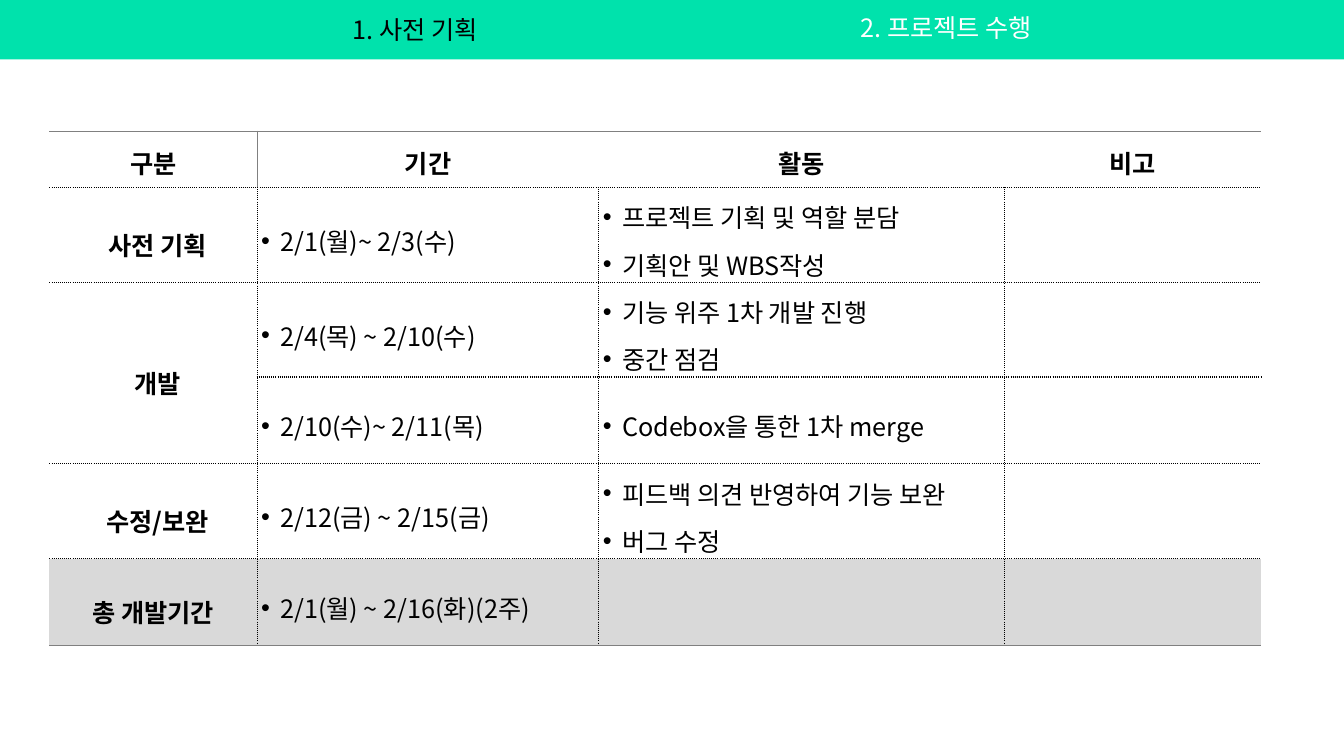
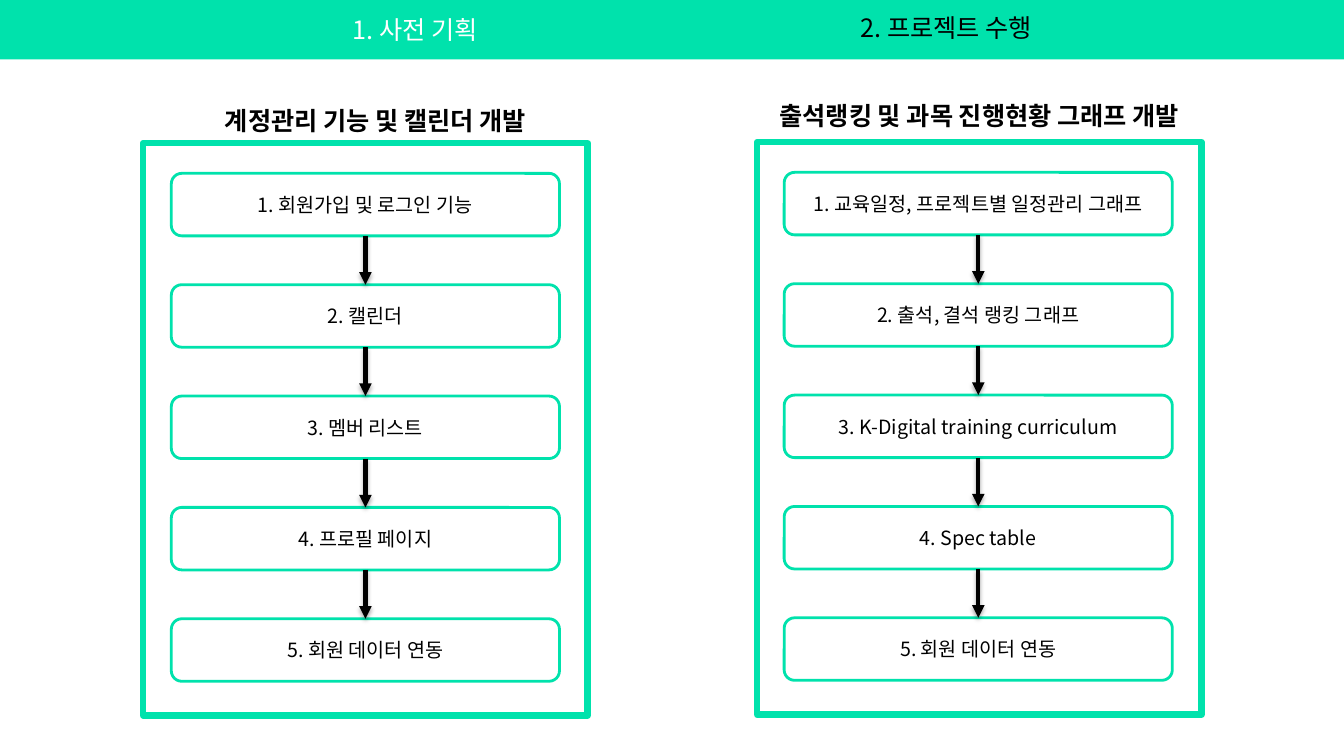
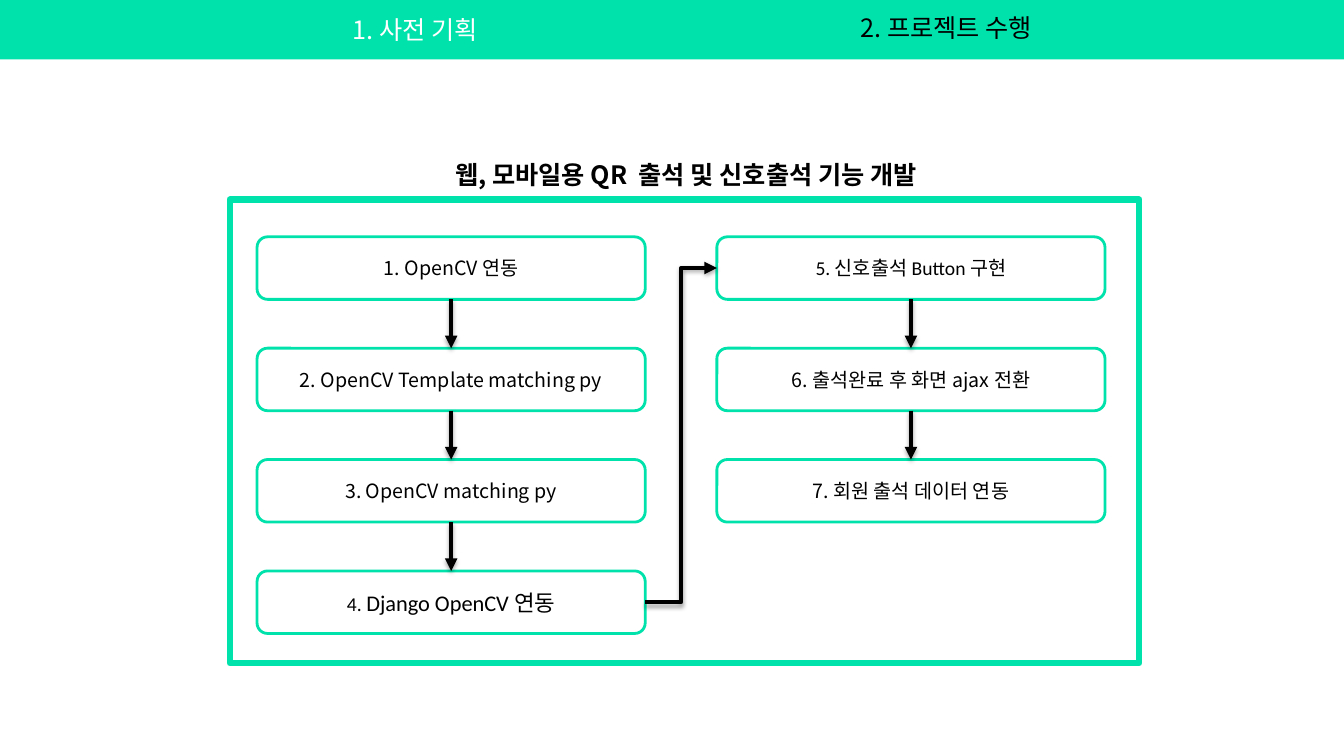
import pptx
import pptx.util
import pptx.dml.color
import pptx.enum.shapes
import pptx.enum.text
import pptx.oxml
import pptx.oxml.ns

RGBColor = pptx.dml.color.RGBColor
MINT = RGBColor(0x00, 0xE2, 0xAC)
WHITE = RGBColor(0xFF, 0xFF, 0xFF)
BLACK = RGBColor(0x00, 0x00, 0x00)
GRAY = RGBColor(0x80, 0x80, 0x80)
PALE = RGBColor(0xD9, 0xD9, 0xD9)
SANS = "Noto Sans CJK KR"
LATIN = "Calibri"
WIDTH = pptx.util.Inches(13.33)
HEIGHT = pptx.util.Inches(7.5)

SHAPE = pptx.enum.shapes.MSO_SHAPE
LINK = pptx.enum.shapes.MSO_CONNECTOR
ALIGN = pptx.enum.text.PP_ALIGN
ANCHOR = pptx.enum.text.MSO_ANCHOR

BAND = 7.87
LINE = 5.33
BOX = (28.88, 8.27)
STEP = 14.73
TABS = [
    ("1. 사전 기획 ", (19.2, 1.2, 23.78, LINE)),
    ("2. 프로젝트 수행", (62.19, 0.93, 16.43, LINE)),
]
TOP, LEFT, BOTTOM, RIGHT = range(4)

COLS = [15.45, 25.43, 30.16, 19.13]
ROWS = [7.47] + [11.47] * 5
PLAN = [
    ("구분", "기간", "활동", "비고"),
    ("사전 기획", "2/1(월)~ 2/3(수)", "프로젝트 기획 및 역할 분담\n기획안 및 WBS작성", ""),
    ("개발", "2/4(목) ~ 2/10(수)", "기능 위주 1차 개발 진행\n중간 점검", ""),
    ("", "2/10(수)~ 2/11(목)", "Codebox을 통한 1차 merge", ""),
    ("수정/보완", "2/12(금) ~ 2/15(금)", "피드백 의견 반영하여 기능 보완\n버그 수정", ""),
    ("총 개발기간", "2/1(월) ~ 2/16(화)(2주)", "", ""),
]
MERGED = 2


def wide(share):
    return round(WIDTH * share / 100)


def high(share):
    return round(HEIGHT * share / 100)


def place(left, top, width, height):
    return wide(left), high(top), wide(width), high(height)


def add_xml(parent, tag, body="", **attrs):
    pairs = "".join(f' {key}="{val}"' for key, val in attrs.items())
    space = pptx.oxml.ns.nsdecls("a")
    node = pptx.oxml.parse_xml(f"<a:{tag} {space}{pairs}>{body}</a:{tag}>")
    parent.append(node)


def add_run(para, text, size=18, color=BLACK, bold=False, face=SANS):
    run = para.add_run()
    run.text = text
    font = run.font
    font.size = pptx.util.Pt(size)
    font.bold = bold
    font.color.rgb = color
    font.name = face
    add_xml(font._element, "ea", typeface=SANS)


def add_label(shape, text, area, color=BLACK, bold=False):
    shape.left, shape.top, shape.width, shape.height = place(*area)
    frame = shape.text_frame
    frame.word_wrap = True
    frame.auto_size = pptx.enum.text.MSO_AUTO_SIZE.NONE
    frame.vertical_anchor = ANCHOR.TOP
    para = frame.paragraphs[0]
    para.alignment = ALIGN.CENTER
    para.line_spacing = 1.0
    add_run(para, text, color=color, bold=bold)


def add_head(slide, text, area):
    add_label(slide.shapes.add_textbox(0, 0, 0, 0), text, area, bold=True)


def add_block(slide, kind, area, fill, line=None):
    shape = slide.shapes.add_shape(kind, *place(*area))
    shape.shadow.inherit = False
    shape.fill.solid()
    shape.fill.fore_color.rgb = fill
    if line:
        shape.line.color.rgb = MINT
        shape.line.width = pptx.util.Pt(line)
    else:
        shape.line.fill.background()
    return shape


def add_page(deck, active):
    slide = deck.slides.add_slide(deck.slide_layouts[5])
    band = add_block(slide, SHAPE.RECTANGLE, (0, 0, 100, BAND), MINT)
    slide.shapes._spTree.insert(2, band._element)
    for spot, (text, area) in enumerate(TABS):
        if spot == active:
            add_label(slide.shapes.title, text, area, BLACK)
        else:
            add_label(slide.shapes.add_textbox(0, 0, 0, 0), text, area, WHITE)
    return slide


def add_step(slide, left, top, runs):
    box = add_block(slide, SHAPE.ROUNDED_RECTANGLE, (left, top, *BOX), WHITE, 2)
    frame = box.text_frame
    frame.word_wrap = True
    frame.vertical_anchor = ANCHOR.MIDDLE
    para = frame.paragraphs[0]
    para.alignment = ALIGN.CENTER
    for text, size, face in runs:
        add_run(para, text, size, face=face)
    return box


def add_arrow(slide, start, end, kind=LINK.STRAIGHT, out=BOTTOM, into=TOP):
    arrow = slide.shapes.add_connector(kind, 0, 0, 0, 0)
    arrow.begin_connect(start, out)
    arrow.end_connect(end, into)
    arrow.line.color.rgb = BLACK
    arrow.line.width = pptx.util.Pt(3)
    add_xml(arrow.line._get_or_add_ln(), "tailEnd", type="triangle")
    shade = (
        f'<a:outerShdw blurRad="{pptx.util.Pt(3.1)}" dist="{pptx.util.Pt(1.8)}" '
        f'dir="5400000" rotWithShape="0"><a:srgbClr val="{BLACK}">'
        '<a:alpha val="35000"/></a:srgbClr></a:outerShdw>'
    )
    add_xml(arrow._element.spPr, "effectLst", shade)


def add_flow(slide, left, top, steps):
    boxes = []
    for row, step in enumerate(steps):
        runs = [(step, 14, SANS)] if isinstance(step, str) else step
        boxes.append(add_step(slide, left, top + row * STEP, runs))
    for start, end in zip(boxes, boxes[1:]):
        add_arrow(slide, start, end)
    return boxes


def add_frame(slide, area):
    add_block(slide, SHAPE.RECTANGLE, area, WHITE, 4.5)


def pick_edges(row, col):
    dots, thin = (BLACK, 1, "sysDot"), (GRAY, 0.5, "solid")
    last = len(ROWS) - 1
    edges = {"L": dots, "R": dots, "T": dots, "B": dots}
    if row == 0:
        edges["T"] = thin
        edges["L"] = thin if col == 1 else None
        edges["R"] = thin if col == 0 else None
    if row == last:
        edges["B"] = thin
    if col == 0:
        edges["L"] = None
        if row == MERGED + 1:
            edges["T"] = None
    if col == len(COLS) - 1:
        edges["R"] = None
    return edges


def draw_edges(cell, edges):
    props = cell._tc.get_or_add_tcPr()
    for side, edge in edges.items():
        if edge:
            color, size, dash = edge
            body = (
                f'<a:solidFill><a:srgbClr val="{color}"/></a:solidFill>'
                f'<a:prstDash val="{dash}"/>'
            )
            add_xml(props, "ln" + side, body, w=pptx.util.Pt(size))
        else:
            add_xml(props, "ln" + side, "<a:noFill/>", w=0)


def fill_cell(cell, row, col, text):
    last = len(ROWS) - 1
    label = row == 0 or col == 0
    inset = 0.04
    if label:
        inset = 0 if row in (0, last) else 0.08
    cell.margin_left = pptx.util.Inches(inset)
    cell.margin_right = cell.margin_top = cell.margin_bottom = 0
    cell.vertical_anchor = ANCHOR.MIDDLE
    draw_edges(cell, pick_edges(row, col))
    if row == last:
        cell.fill.solid()
        cell.fill.fore_color.rgb = PALE
    else:
        cell.fill.background()
    if not text:
        return
    frame = cell.text_frame
    for spot, item in enumerate(text.split("\n")):
        para = frame.add_paragraph() if spot else frame.paragraphs[0]
        if label:
            para.alignment = ALIGN.CENTER
            para.line_spacing = 1.2 if row == 0 else 1.5
        else:
            para.line_spacing = 1.3
            props = para._p.get_or_add_pPr()
            dent = pptx.util.Inches(0.19)
            props.set("marL", str(dent))
            props.set("indent", str(-dent))
            add_xml(props, "buFont", typeface="Arial")
            add_xml(props, "buChar", char="•")
        add_run(para, item, bold=label)


def add_plan(slide):
    area = place(3.68, 17.33, sum(COLS), sum(ROWS))
    table = slide.shapes.add_table(len(ROWS), len(COLS), *area).table
    table.first_row = table.horz_banding = False
    for col, share in enumerate(COLS):
        table.columns[col].width = wide(share)
    for row, share in enumerate(ROWS):
        table.rows[row].height = high(share)
        for col, text in enumerate(PLAN[row]):
            fill_cell(table.cell(row, col), row, col, text)
    table.cell(MERGED, 0).merge(table.cell(MERGED + 1, 0))


def add_tracks(slide):
    add_frame(slide, (10.65, 18.93, 33.08, 75.73))
    add_head(slide, "계정관리 기능 및 캘린더 개발", (5.1, 13.33, 45.69, LINE))
    add_flow(slide, 12.75, 22.93, [
        "1. 회원가입 및 로그인 기능",
        "2. 캘린더",
        "3. 멤버 리스트",
        "4. 프로필 페이지",
        "5. 회원 데이터 연동",
    ])
    add_frame(slide, (56.33, 18.8, 33.08, 75.73))
    add_head(slide, "출석랭킹 및 과목 진행현황 그래프 개발", (56.33, 12.67, 33.08, LINE))
    add_flow(slide, 58.35, 22.8, [
        "1. 교육일정, 프로젝트별 일정관리 그래프",
        "2. 출석, 결석 랭킹 그래프",
        "3. K-Digital training curriculum",
        "4. Spec table",
        "5. 회원 데이터 연동",
    ])


def add_signal(slide):
    add_frame(slide, (17.1, 26.4, 67.67, 61.33))
    add_head(slide, "웹, 모바일용 QR  출석 및 신호출석 기능 개발", (30, 20.4, 42.08, LINE))
    first = add_flow(slide, 19.13, 31.33, [
        "1. OpenCV 연동",
        "2. OpenCV Template matching py",
        "3. OpenCV matching py",
        [("4. ", 14, LATIN), ("Django OpenCV 연동", 16, LATIN)],
    ])
    second = add_flow(slide, 53.34, 31.33, [
        [("5. 신호출석 Button 구현", 14, LATIN)],
        "6. 출석완료 후 화면 ajax 전환",
        "7. 회원 출석 데이터 연동",
    ])
    add_arrow(slide, first[-1], second[0], LINK.ELBOW, RIGHT, LEFT)


def main():
    deck = pptx.Presentation()
    deck.slide_width, deck.slide_height = WIDTH, HEIGHT
    add_plan(add_page(deck, 0))
    add_tracks(add_page(deck, 1))
    add_signal(add_page(deck, 1))
    deck.save("out.pptx")


if __name__ == "__main__":
    main()
